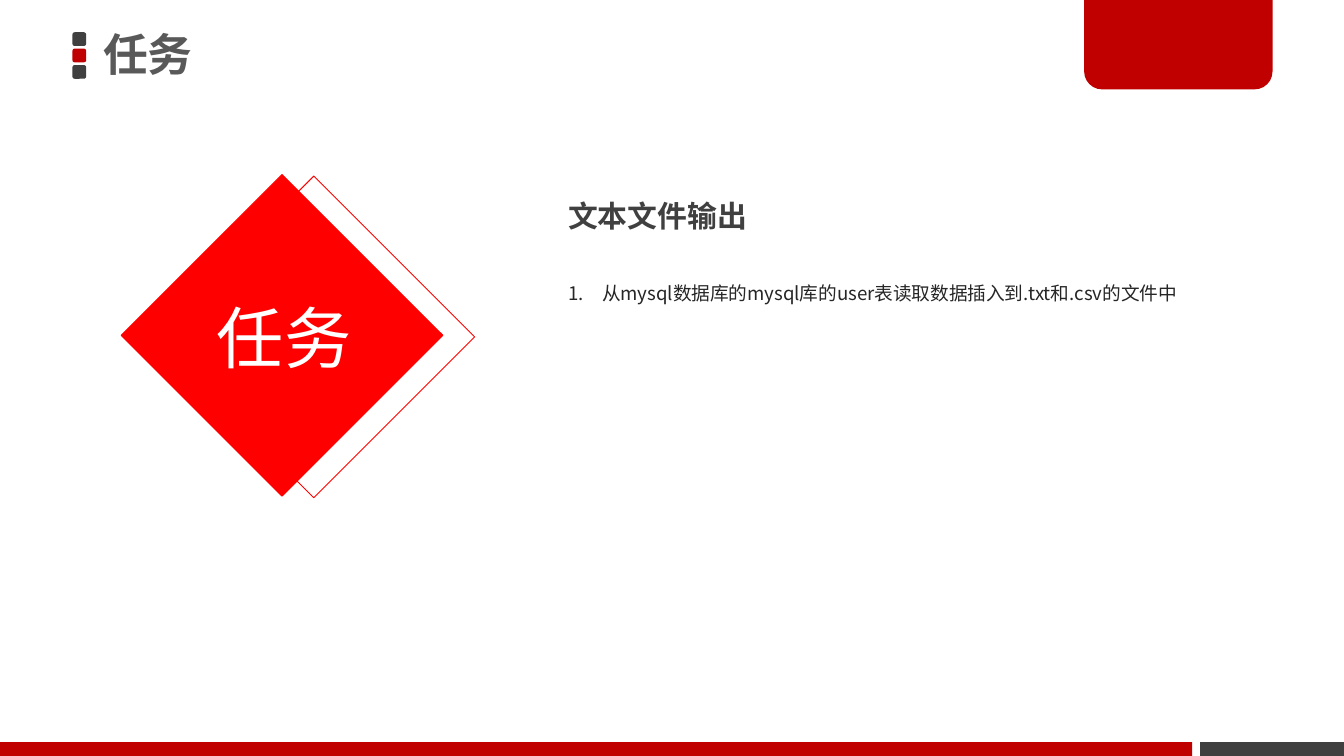
from lxml import etree
from pptx import Presentation
from pptx.dml.color import RGBColor
from pptx.enum.shapes import MSO_SHAPE
from pptx.enum.text import MSO_ANCHOR, MSO_AUTO_SIZE, PP_ALIGN
from pptx.oxml.ns import qn
from pptx.util import Cm, Pt

RECT, ROUNDED = MSO_SHAPE.RECTANGLE, MSO_SHAPE.ROUNDED_RECTANGLE
TAB = MSO_SHAPE.ROUND_2_SAME_RECTANGLE
MIDDLE, TOP = MSO_ANCHOR.MIDDLE, MSO_ANCHOR.TOP
LEFT, CENTER = PP_ALIGN.LEFT, PP_ALIGN.CENTER
NO_FIT = MSO_AUTO_SIZE.NONE
FONT = "Noto Sans CJK SC"
DARK, CRIMSON, RED = "404040", "C00000", "FF0000"

# Content (lengths in cm)
TITLE = "任务"
DIAMOND_LABEL = "任务"
HEADING = "文本文件输出"
TASKS = ["从mysql数据库的mysql库的user表读取数据插入到.txt和.csv的文件中"]

PAGE_W, PAGE_H = 25.4, 14.29
MARKER_COLORS = [DARK, CRIMSON, DARK]
MARKER_SIZE, MARKER_STEP = 0.26, 0.31
FOOTER_H = 0.26
FOOTER_BARS = [(0, 22.53, CRIMSON), (22.68, 2.72, DARK)]
DIAMOND_SIDE = 4.3
DIAMONDS = [(3.78, 4.22, None), (3.18, 4.19, RED)]  # left, top, fill


def color(hex_text):
    return RGBColor.from_string(hex_text)


def add_block(page, kind, left, top, width, height, fill=None, line=None):
    block = page.shapes.add_shape(kind, Cm(left), Cm(top), Cm(width), Cm(height))
    block.shadow.inherit = False
    if fill:
        block.fill.solid()
        block.fill.fore_color.rgb = color(fill)
    else:
        block.fill.background()
    if line:
        block.line.color.rgb = color(line)
        block.line.width = Pt(0.5)
    else:
        block.line.fill.background()
    return block


def add_numbering(paragraph, hex_text):
    properties = paragraph._p.get_or_add_pPr()
    properties.set("marL", str(Cm(0.64)))
    properties.set("indent", str(-Cm(0.64)))
    bullet_color = etree.SubElement(properties, qn("a:buClr"))
    etree.SubElement(bullet_color, qn("a:srgbClr"), val=hex_text)
    etree.SubElement(properties, qn("a:buFont"), typeface="+mj-lt")
    etree.SubElement(properties, qn("a:buAutoNum"), type="arabicPeriod")


def write(box, place, lines, size, hex_text, bold=False, align=LEFT,
          anchor=TOP, spacing=1.0, inset=(0.25, 0.13), numbered=False):
    box.left, box.top, box.width, box.height = (Cm(value) for value in place)
    frame = box.text_frame
    frame.word_wrap = True
    frame.auto_size = NO_FIT
    frame.vertical_anchor = anchor
    frame.margin_left = frame.margin_right = Cm(inset[0])
    frame.margin_top = frame.margin_bottom = Cm(inset[1])
    frame.text = "\n".join(lines)
    for paragraph in frame.paragraphs:
        if numbered:
            add_numbering(paragraph, hex_text)
        paragraph.alignment = align
        paragraph.line_spacing = spacing
        paragraph.space_before = Pt(0)
        font = paragraph.font
        font.size, font.bold, font.name = Pt(size), bold, FONT
        font.color.rgb = color(hex_text)
        # East Asian glyphs need their own typeface entry
        latin = paragraph._p.pPr.find(".//" + qn("a:latin"))
        east_asian = etree.Element(qn("a:ea"), typeface=FONT)
        latin.addnext(east_asian)


def main():
    deck = Presentation()
    deck.slide_width, deck.slide_height = Cm(PAGE_W), Cm(PAGE_H)
    page = deck.slides.add_slide(deck.slide_layouts[5])

    # Header: title, marker squares and corner tab
    write(page.shapes.title, (1.75, -0.05, 10.95, 2.26), [TITLE], 24, "595959",
          bold=True, anchor=MIDDLE, spacing=0.9, inset=(0.2, 0.1))
    for index, fill in enumerate(MARKER_COLORS):
        add_block(page, ROUNDED, 1.37, 0.61 + index * MARKER_STEP,
                  MARKER_SIZE, MARKER_SIZE, fill)
    tab = add_block(page, TAB, 20.49, 0, 3.56, 1.69, CRIMSON)
    tab.adjustments[0], tab.adjustments[1] = 0, 0.2

    # Footer bars
    for left, width, fill in FOOTER_BARS:
        add_block(page, RECT, left, PAGE_H - FOOTER_H, width, FOOTER_H, fill)

    # Diamonds with label
    for left, top, fill in DIAMONDS:
        diamond = add_block(page, RECT, left, top, DIAMOND_SIDE, DIAMOND_SIDE,
                            fill, RED)
        diamond.rotation = 45
    label = page.shapes.add_textbox(0, 0, 0, 0)
    write(label, (0.05, 5.33, 10.64, 2.26), [DIAMOND_LABEL], 36, "FFFFFF",
          align=CENTER, anchor=MIDDLE, spacing=0.9, inset=(0.2, 0.1))

    # Task description
    heading = page.shapes.add_textbox(0, 0, 0, 0)
    write(heading, (10.49, 3.61, 9.8, 0.94), [HEADING], 16, DARK, bold=True)
    tasks = page.shapes.add_textbox(0, 0, 0, 0)
    write(tasks, (10.49, 4.57, 14.2, 1.32), TASKS, 10, "262626",
          spacing=2.5, numbered=True)

    deck.save("out.pptx")


if __name__ == "__main__":
    main()
